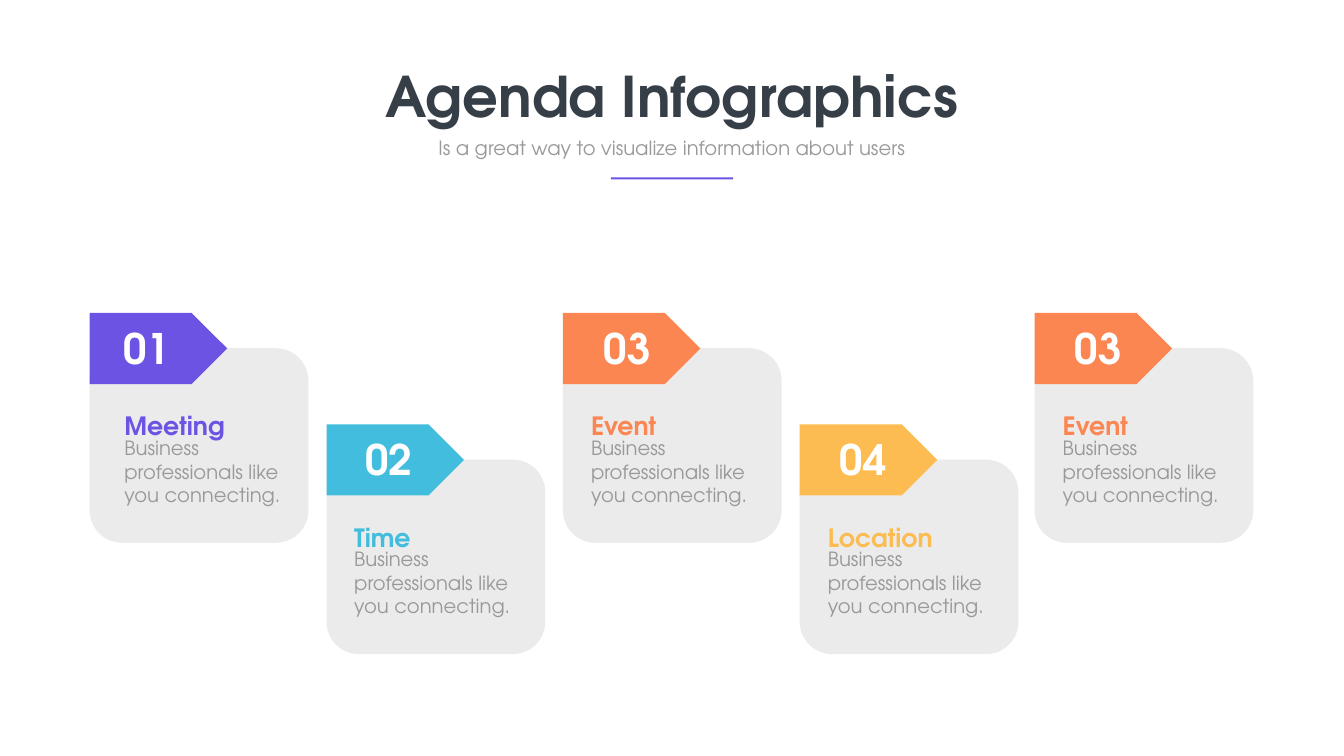
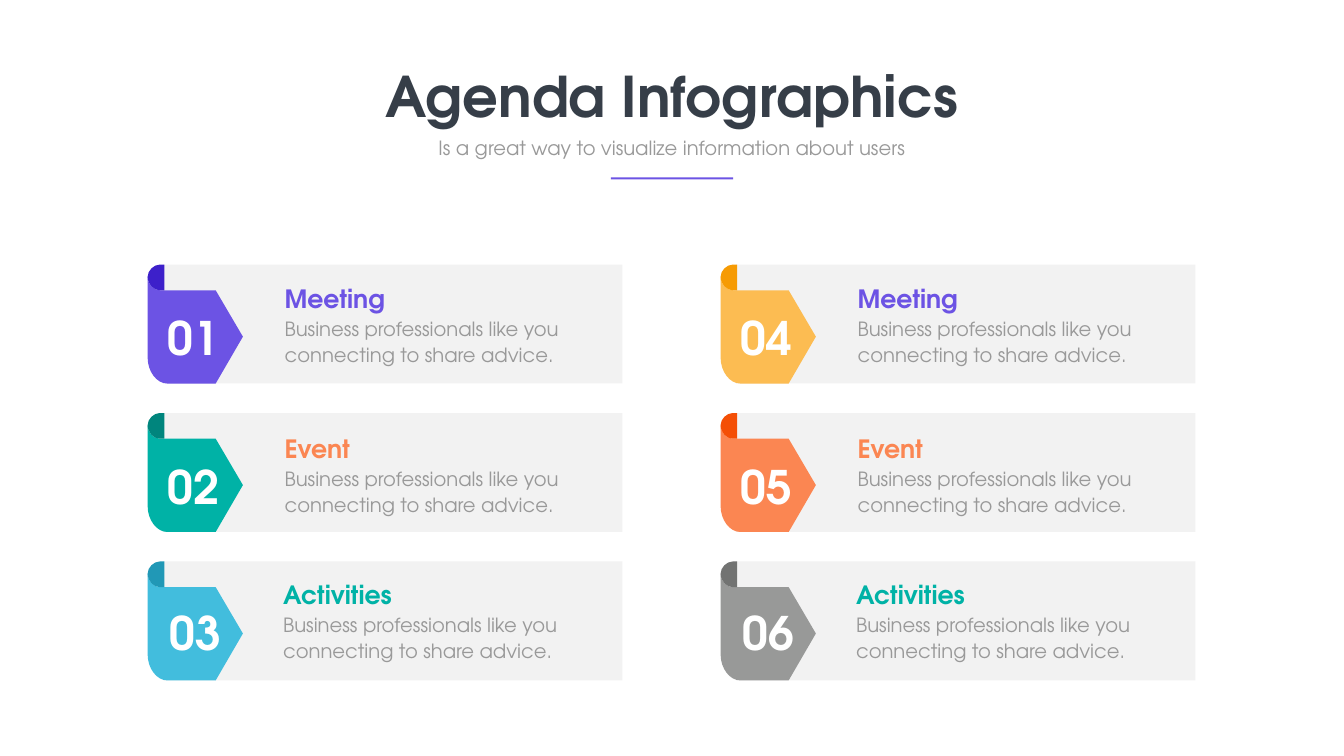
"""Build two agenda infographic slides."""
from dataclasses import dataclass

import lxml.etree
import pptx
import pptx.dml.color
import pptx.enum.shapes
import pptx.enum.text
import pptx.oxml.ns
import pptx.util

Inches = pptx.util.Inches
SHAPES = pptx.enum.shapes.MSO_SHAPE
ALIGN = pptx.enum.text.PP_ALIGN


@dataclass(frozen=True)
class Theme:
    """Colours, font and type sizes shared by the slides."""
    font: str = "TeX Gyre Adventor"
    title_size: int = 80
    heading_size: int = 36
    body_size: int = 28
    card_number_size: int = 60
    ribbon_number_size: int = 66
    ribbon_leading: float = 36.6
    ink: str = "363E48"
    muted: str = "999999"
    white: str = "FFFFFF"
    card: str = "EBEBEB"
    panel: str = "F2F2F2"
    violet: str = "6C53E4"
    violet_dark: str = "3D20CA"
    sky: str = "42BDDD"
    sky_dark: str = "2198B6"
    teal: str = "00B2A6"
    teal_dark: str = "00857D"
    orange: str = "FB8652"
    orange_dark: str = "F44F06"
    amber: str = "FCBC52"
    amber_dark: str = "F69B04"
    grey: str = "989998"
    grey_dark: str = "727372"


THEME = Theme()


@dataclass(frozen=True)
class Box:
    """A rectangle in inches."""
    left: float
    top: float
    width: float
    height: float

    def inner(self, dx, dy, width, height):
        """Return a box offset from this one's top left corner."""
        return Box(self.left + dx, self.top + dy, width, height)

    def lengths(self):
        """Return left, top, width and height as lengths."""
        return [Inches(side) for side in (self.left, self.top, self.width, self.height)]


@dataclass(frozen=True)
class Card:
    """One step of the staggered agenda, with its offsets."""
    number: str
    heading: str
    color: str
    dx: float
    number_dx: float = 0.69
    text_dx: float = 0.46


@dataclass(frozen=True)
class RibbonRow:
    """Heading and text offsets shared by the ribbons of one row."""
    heading: str
    color: str
    number_at: tuple
    heading_at: tuple


CARDS = [
    Card("01", "Meeting", THEME.violet, 0, 0.56, 0.59),
    Card("02", "Time", THEME.sky, 4.7, 0.66, 0.45),
    Card("03", "Event", THEME.orange, 9.39, 0.7),
    Card("04", "Location", THEME.amber, 14.09),
    Card("03", "Event", THEME.orange, 18.75),
]
RIBBON_ROWS = [
    RibbonRow("Meeting", THEME.violet, (0.29, 0.84), (2.62, 0.32)),
    RibbonRow("Event", THEME.orange, (0.29, 0.85), (2.62, 0.35)),
    RibbonRow("Activities", THEME.teal, (0.33, 0.81), (2.59, 0.31)),
]
RIBBON_COLUMNS = [
    [(THEME.violet, THEME.violet_dark), (THEME.teal, THEME.teal_dark),
     (THEME.sky, THEME.sky_dark)],
    [(THEME.amber, THEME.amber_dark), (THEME.orange, THEME.orange_dark),
     (THEME.grey, THEME.grey_dark)],
]
RIBBON = [
    [(0, 1.85)],
    [(0, 2.12), (0.18, 2.36), (0.39, 2.36)],
    [(1.35, 2.36)], [(1.89, 1.43)], [(1.35, 0.51)], [(0.24, 0.51)],
    [(0.12, 0.51), (0, 0.39), (0, 0.24)],
]
CURL = [
    [(0, 0.24)],
    [(0, 0.39), (0.12, 0.51), (0.24, 0.51)],
    [(0.33, 0.51)], [(0.33, 0)], [(0.24, 0)],
    [(0.12, 0), (0, 0.12), (0, 0.24)],
]


def rgb(color):
    """Turn a hex string into a colour."""
    return pptx.dml.color.RGBColor.from_string(color)


def paint(shape, color):
    """Give a shape a flat fill without line or shadow."""
    shape.fill.solid()
    shape.fill.fore_color.rgb = rgb(color)
    shape.line.fill.background()
    shape.shadow.inherit = False


def add_block(shapes, kind, box, color):
    """Add a flat preset shape."""
    paint(shapes.add_shape(kind, *box.lengths()), color)


def write(holder, text, size, color, bold=False, align=ALIGN.LEFT, wrap=True, leading=None):
    """Write one formatted paragraph into a text holder."""
    frame = holder.text_frame
    frame.text = text
    frame.word_wrap = wrap
    frame.auto_size = pptx.enum.text.MSO_AUTO_SIZE.SHAPE_TO_FIT_TEXT
    frame.vertical_anchor = pptx.enum.text.MSO_ANCHOR.TOP
    paragraph = frame.paragraphs[0]
    paragraph.alignment = align
    if leading:
        paragraph.line_spacing = pptx.util.Pt(leading)
    paragraph.font.name = THEME.font
    paragraph.font.size = pptx.util.Pt(size)
    paragraph.font.bold = bold
    paragraph.font.color.rgb = rgb(color)


def add_text(shapes, box, text, size, color, **style):
    """Add a text box holding one paragraph."""
    write(shapes.add_textbox(*box.lengths()), text, size, color, **style)


def add_number(shapes, box, number, size):
    """Add a white centred step number."""
    add_text(shapes, box, number, size, THEME.white, bold=True, align=ALIGN.CENTER, wrap=False)


def add_outline(shapes, box, segments, color):
    """Add a closed outline whose three-point segments are cubic curves."""
    placed = [(Inches(box.left + x), Inches(box.top + y))
              for segment in segments for x, y in segment]
    builder = shapes.build_freeform(*placed[0])
    builder.add_line_segments(placed[1:], close=True)
    outline = builder.convert_to_shape()
    name = pptx.oxml.ns.qn
    lines = iter(list(outline.element.iter(name("a:lnTo"))))
    for segment in segments[1:]:
        steps = [next(lines) for _ in segment]
        if len(steps) == 3:
            bend = lxml.etree.Element(name("a:cubicBezTo"))
            steps[0].addprevious(bend)
            for step in steps:
                bend.append(step[0])
                step.getparent().remove(step)
    paint(outline, color)


def add_header(slide, box):
    """Place the title, subtitle and accent rule."""
    title = slide.shapes.title
    title.left, title.top, title.width, title.height = box.inner(0, 0, box.width, 1.45).lengths()
    write(title, "Agenda Infographics", THEME.title_size, THEME.ink,
          bold=True, align=ALIGN.CENTER, wrap=False)
    add_text(slide.shapes, box.inner(1.08, 1.48, 9.56, 0.57),
             "Is a great way to visualize information about users",
             THEME.body_size, THEME.muted, align=ALIGN.CENTER)
    add_block(slide.shapes, SHAPES.RECTANGLE, box.inner(4.65, 2.35, 2.43, 0.04), THEME.violet)


def add_card(shapes, box, card):
    """Place a rounded card with its numbered tag and text."""
    add_block(shapes, SHAPES.ROUNDED_RECTANGLE, box.inner(0, 0.7, box.width, box.height - 0.7),
              THEME.card)
    add_block(shapes, SHAPES.PENTAGON, box.inner(0, 0, 2.73, 1.41), card.color)
    add_text(shapes, box.inner(card.text_dx, 2.39, 3.59, 1.51),
             "Business professionals like you connecting.", THEME.body_size, THEME.muted)
    add_text(shapes, box.inner(card.text_dx, 1.89, 3.59, 0.71),
             card.heading, THEME.heading_size, card.color, bold=True)
    add_number(shapes, box.inner(card.number_dx, 0.13, 1.15, 1.11),
               card.number, THEME.card_number_size)


def add_ribbon(shapes, box, number, row, color, curl_color):
    """Place a panel with its folded ribbon, number and text."""
    add_block(shapes, SHAPES.RECTANGLE, box.inner(0.31, 0, box.width - 0.31, box.height),
              THEME.panel)
    add_outline(shapes, box, RIBBON, color)
    add_outline(shapes, box, CURL, curl_color)
    add_number(shapes, box.inner(*row.number_at, 1.24, 1.21), number, THEME.ribbon_number_size)
    text_dx, heading_dy = row.heading_at
    add_text(shapes, box.inner(text_dx, heading_dy + 0.63, 6.17, 1.1),
             "Business professionals like you connecting to share advice.",
             THEME.body_size, THEME.muted, leading=THEME.ribbon_leading)
    add_text(shapes, box.inner(text_dx, heading_dy, 4.26, 0.54),
             row.heading, THEME.heading_size, row.color, bold=True)


def build_cards(slide, box):
    """Stagger the agenda cards across the box."""
    for index, card in enumerate(CARDS):
        add_card(slide.shapes, box.inner(card.dx, 2.21 * (index % 2), 4.34, 4.56), card)


def build_ribbons(slide, box):
    """Lay out the agenda ribbons in columns that fill the box."""
    width, height = 9.42, 2.36
    row_pitch = (box.height - height) / (len(RIBBON_ROWS) - 1)
    for column, colors in enumerate(RIBBON_COLUMNS):
        for index, (row, pair) in enumerate(zip(RIBBON_ROWS, colors)):
            number = f"{column * len(RIBBON_ROWS) + index + 1:02d}"
            place = box.inner((box.width - width) * column, row_pitch * index, width, height)
            add_ribbon(slide.shapes, place, number, row, *pair)


def main():
    """Build and save the presentation."""
    deck = pptx.Presentation()
    deck.slide_width, deck.slide_height = Inches(26.67), Inches(15)
    regions = [(build_cards, Box(1.78, 6.21, 23.09, 6.77)),
               (build_ribbons, Box(2.93, 5.25, 20.79, 8.25))]
    for build, box in regions:
        slide = deck.slides.add_slide(deck.slide_layouts[5])
        add_header(slide, Box(7.47, 1.17, 11.72, 2.39))
        build(slide, box)
    deck.save("out.pptx")


if __name__ == "__main__":
    main()
